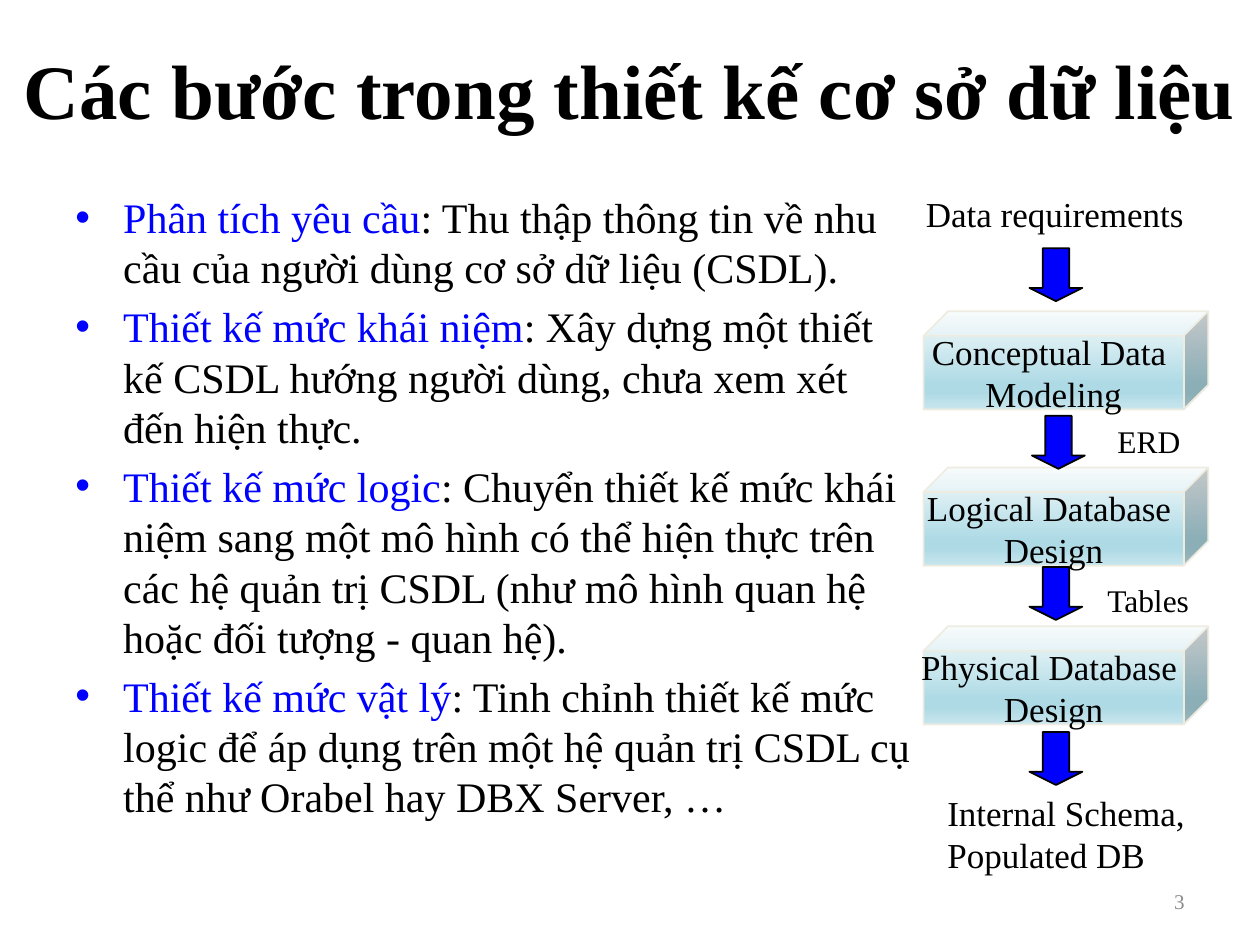
import copy
from dataclasses import dataclass

import lxml.etree
import pptx
import pptx.dml.color
import pptx.enum.shapes
import pptx.enum.text
import pptx.oxml.ns
import pptx.util

Inches = pptx.util.Inches
Pt = pptx.util.Pt
ALIGN = pptx.enum.text.PP_ALIGN
ANCHOR = pptx.enum.text.MSO_ANCHOR
SHAPE = pptx.enum.shapes.MSO_SHAPE
qn = pptx.oxml.ns.qn


@dataclass(frozen=True)
class Theme:
    font: str = "Times New Roman"
    ink: str = "000000"
    accent: str = "0000FF"
    muted: str = "8C8C8C"
    cube_line: str = "EEECE1"
    cube_stops: tuple = ((0, "F6FBFC"), (74, "AEDAE5"), (83, "AEDAE5"), (100, "C9E6EE"))
    title_size: int = 44
    body_size: int = 24
    step_size: int = 20
    result_size: int = 18
    number_size: int = 12


THEME = Theme()


def rgb(code):
    return pptx.dml.color.RGBColor.from_string(code)


def write(paragraph, text, size=THEME.step_size, color=THEME.ink, bold=False, align=None):
    if align is not None:
        paragraph.alignment = align
    run = paragraph.add_run()
    run.text = text
    run.font.name = THEME.font
    run.font.size = Pt(size)
    run.font.color.rgb = rgb(color)
    run.font.bold = bold


class SlideBuilder:
    def __init__(self, slide, theme):
        self.shapes = slide.shapes
        self.theme = theme

    def frame(self, left, top, width, height, anchor=ANCHOR.TOP):
        box = self.shapes.add_textbox(Inches(left), Inches(top), Inches(width), Inches(height))
        box.text_frame.word_wrap = True
        box.text_frame.vertical_anchor = anchor
        return box.text_frame

    def label(self, text, left, top, width, height, anchor=ANCHOR.TOP, **style):
        write(self.frame(left, top, width, height, anchor).paragraphs[0], text, **style)

    def bullets(self, items, left, top, width, height):
        frame = self.frame(left, top, width, height)
        for index, (term, meaning) in enumerate(items):
            paragraph = frame.paragraphs[0] if index == 0 else frame.add_paragraph()
            properties = paragraph._p.get_or_add_pPr()
            properties.set("marL", str(Inches(0.38)))
            properties.set("indent", str(Inches(-0.38)))
            font = lxml.etree.SubElement(properties, qn("a:buFont"))
            font.set("typeface", "Arial")
            lxml.etree.SubElement(properties, qn("a:buChar")).set("char", "•")
            if index:
                paragraph.space_before = Pt(4.8)
            write(paragraph, term, size=self.theme.body_size, color=self.theme.accent)
            write(paragraph, meaning, size=self.theme.body_size)

    def shape(self, kind, left, top, width, height, line):
        shape = self.shapes.add_shape(kind, Inches(left), Inches(top), Inches(width), Inches(height))
        shape.shadow.inherit = False
        shape.line.color.rgb = rgb(line)
        shape.line.width = Pt(1)
        return shape

    def cube(self, lines, left, top, width, height):
        cube = self.shape(SHAPE.CUBE, left, top, width, height, self.theme.cube_line)
        cube.fill.gradient()
        cube.fill.gradient_angle = 270
        stops = cube._element.spPr.find(".//" + qn("a:gsLst"))
        for _ in self.theme.cube_stops[len(stops):]:
            stops.append(copy.deepcopy(stops[0]))
        for stop, (position, color) in zip(cube.fill.gradient_stops, self.theme.cube_stops):
            stop.position = position / 100
            stop.color.rgb = rgb(color)
        frame = cube.text_frame
        frame.word_wrap = False
        frame.vertical_anchor = ANCHOR.MIDDLE
        for index, text in enumerate(lines):
            paragraph = frame.paragraphs[0] if index == 0 else frame.add_paragraph()
            write(paragraph, text, align=ALIGN.CENTER)

    def arrow(self, left, top, size=0.42):
        arrow = self.shape(SHAPE.RIGHT_ARROW, left, top, size, size, self.theme.ink)
        arrow.adjustments[0] = 0.5
        arrow.adjustments[1] = 0.25
        arrow.rotation = 90
        arrow.fill.solid()
        arrow.fill.fore_color.rgb = rgb(self.theme.accent)


DESIGN_STEPS = [
    ("Phân tích yêu cầu", ": Thu thập thông tin về nhu cầu của người dùng cơ sở dữ liệu (CSDL)."),
    ("Thiết kế mức khái niệm",
     ": Xây dựng một thiết kế CSDL hướng người dùng, chưa xem xét đến hiện thực."),
    ("Thiết kế mức logic",
     ": Chuyển thiết kế mức khái niệm sang một mô hình có thể hiện thực trên các hệ quản trị "
     "CSDL (như mô hình quan hệ hoặc đối tượng - quan hệ)."),
    ("Thiết kế mức vật lý",
     ": Tinh chỉnh thiết kế mức logic để áp dụng trên một hệ quản trị CSDL cụ thể như "
     "Orabel hay DBX Server, …"),
]
STAGES = [
    (("Conceptual Data ", "Modeling"), 2.47),
    (("Logical Database ", "Design"), 3.71),
    (("Physical Database ", "Design"), 4.97),
]
ARROWS = [(8.17, 1.97), (8.19, 3.3), (8.17, 4.5), (8.17, 5.81)]


def main():
    deck = pptx.Presentation()
    deck.slide_width = Inches(10)
    deck.slide_height = Inches(7.5)
    page = SlideBuilder(deck.slides.add_slide(deck.slide_layouts[6]), THEME)

    page.label("Các bước trong thiết kế cơ sở dữ liệu", 0, 0.08, 10, 1.25, ANCHOR.MIDDLE,
               size=THEME.title_size, bold=True, align=ALIGN.CENTER)
    page.bullets(DESIGN_STEPS, 0.5, 1.47, 6.83, 4.95)
    page.label("3", 7.17, 6.95, 2.33, 0.4, ANCHOR.MIDDLE,
               size=THEME.number_size, color=THEME.muted, align=ALIGN.RIGHT)

    for lines, top in STAGES:
        page.cube(lines, 7.33, top, 2.26, 0.78)
    for left, top in ARROWS:
        page.arrow(left, top)

    page.label("Data requirements", 7.25, 1.48, 2.33, 0.44)
    page.label("ERD", 8.77, 3.3, 0.73, 0.4, size=THEME.result_size)
    page.label("Tables", 8.69, 4.56, 0.9, 0.4, size=THEME.result_size)
    page.label("Internal Schema, Populated DB", 7.42, 6.23, 2.17, 0.77)

    deck.save("out.pptx")


if __name__ == "__main__":
    main()
